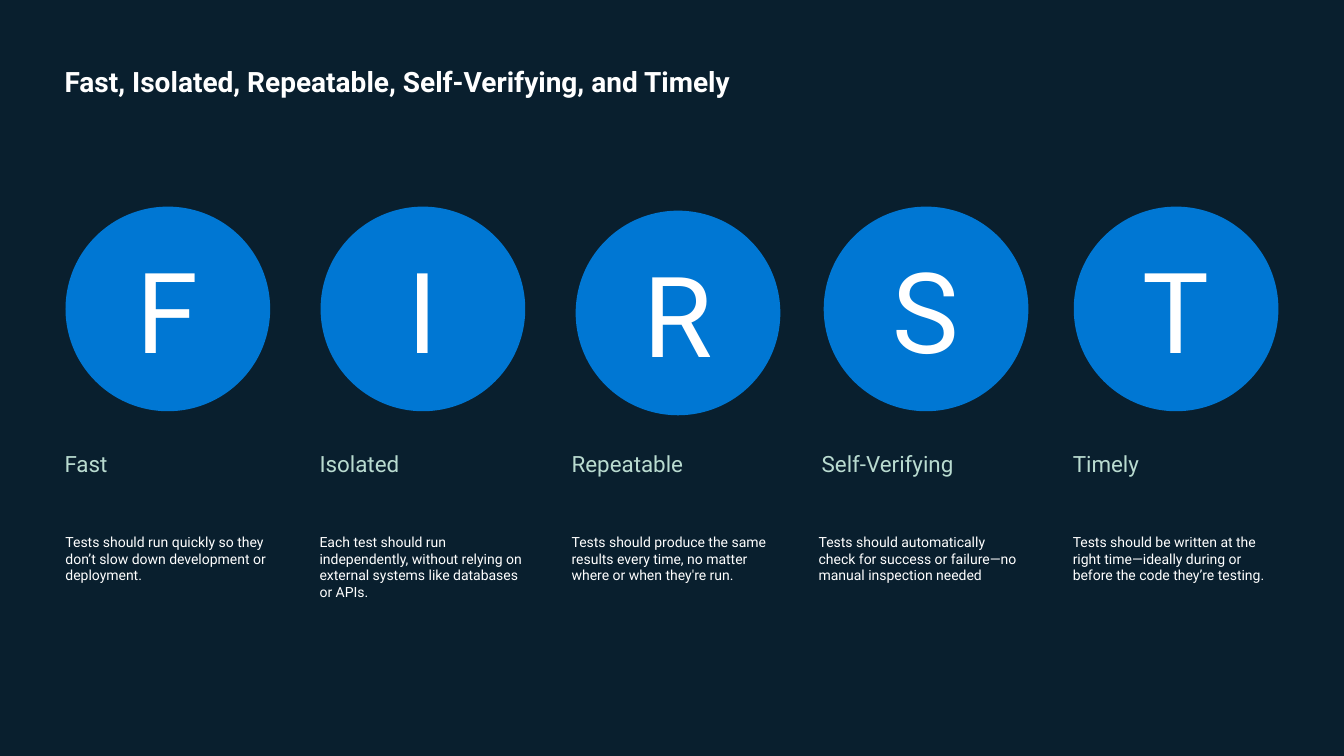
from pptx import Presentation
from pptx import util as u
from pptx.dml.color import RGBColor
from pptx.enum import shapes, text

COLORS = {"back": "091F2E", "disc": "0077D3", "mint": "B9DBD0", "white": "FFFFFF"}

TOP, MID, LOW = text.MSO_ANCHOR.TOP, text.MSO_ANCHOR.MIDDLE, text.MSO_ANCHOR.BOTTOM
LEFT, CENTER = text.PP_ALIGN.LEFT, text.PP_ALIGN.CENTER

TITLE = "Fast, Isolated, Repeatable, Self-Verifying, and Timely"
CARDS = [
    ("Fast", "Tests should run quickly so they don’t slow down development or deployment.",
     0.65, 2.05, 0.64, 0.65, 0.5),
    ("Isolated", "Each test should run independently, without relying on external "
     "systems like databases or APIs.", 3.18, 2.05, 3.17, 3.17, 0.88),
    ("Repeatable", "Tests should produce the same results every time, no matter where "
     "or when they're run.", 5.71, 2.09, 5.67, 5.67, 0.71),
    ("Self-Verifying", "Tests should automatically check for success or failure—no "
     "manual inspection needed", 8.17, 2.05, 8.15, 8.12, 0.5),
    ("Timely", "Tests should be written at the right time—ideally during or before "
     "the code they’re testing.", 10.65, 2.05, 10.64, 10.64, 0.5),
]


def color(name):
    return RGBColor.from_string(COLORS[name])


class Deck:
    font = "Roboto"

    def __init__(self):
        self.show = Presentation()
        self.show.slide_width = u.Inches(13.33)
        self.show.slide_height = u.Inches(7.5)
        self.slide = self.show.slides.add_slide(self.show.slide_layouts[6])
        fill = self.slide.background.fill
        fill.solid()
        fill.fore_color.rgb = color("back")

    def letter(self, shape, words, size, tone="white", bold=False,
               anchor=TOP, align=LEFT, inset=(0, 0)):
        frame = shape.text_frame
        side, edge = map(u.Inches, inset)
        form = {"word_wrap": True, "vertical_anchor": anchor,
                "margin_left": side, "margin_right": side,
                "margin_top": edge, "margin_bottom": edge}
        for key, value in form.items():
            setattr(frame, key, value)
        para = frame.paragraphs[0]
        para.alignment = align
        run = para.add_run()
        run.text = words
        for key, value in {"name": self.font, "size": u.Pt(size), "bold": bold}.items():
            setattr(run.font, key, value)
        run.font.color.rgb = color(tone)

    def label(self, words, box, size, **form):
        shape = self.slide.shapes.add_textbox(*map(u.Inches, box))
        self.letter(shape, words, size, **form)

    def disc(self, sign, left, top, size=2.03):
        shape = self.slide.shapes.add_shape(
            shapes.MSO_SHAPE.OVAL, *map(u.Inches, (left, top, size, size)))
        shape.shadow.inherit = False
        shape.fill.solid()
        shape.fill.fore_color.rgb = color("disc")
        shape.line.fill.background()
        self.letter(shape, sign, 80, anchor=MID, align=CENTER, inset=(0.2, 0.16))


def main():
    deck = Deck()
    deck.label(TITLE, (0.64, 0.64, 8.96, 0.34), 20, bold=True)
    for name, note, disc, top, head, body, high in CARDS:
        deck.label(name, (head, 4.46, 2.06, 0.27), 16, tone="mint", anchor=LOW)
        deck.label(note, (body, 5.29, 2.03, high), 10)
        deck.disc(name[0], disc, top)
    deck.show.save("out.pptx")


if __name__ == "__main__":
    main()
